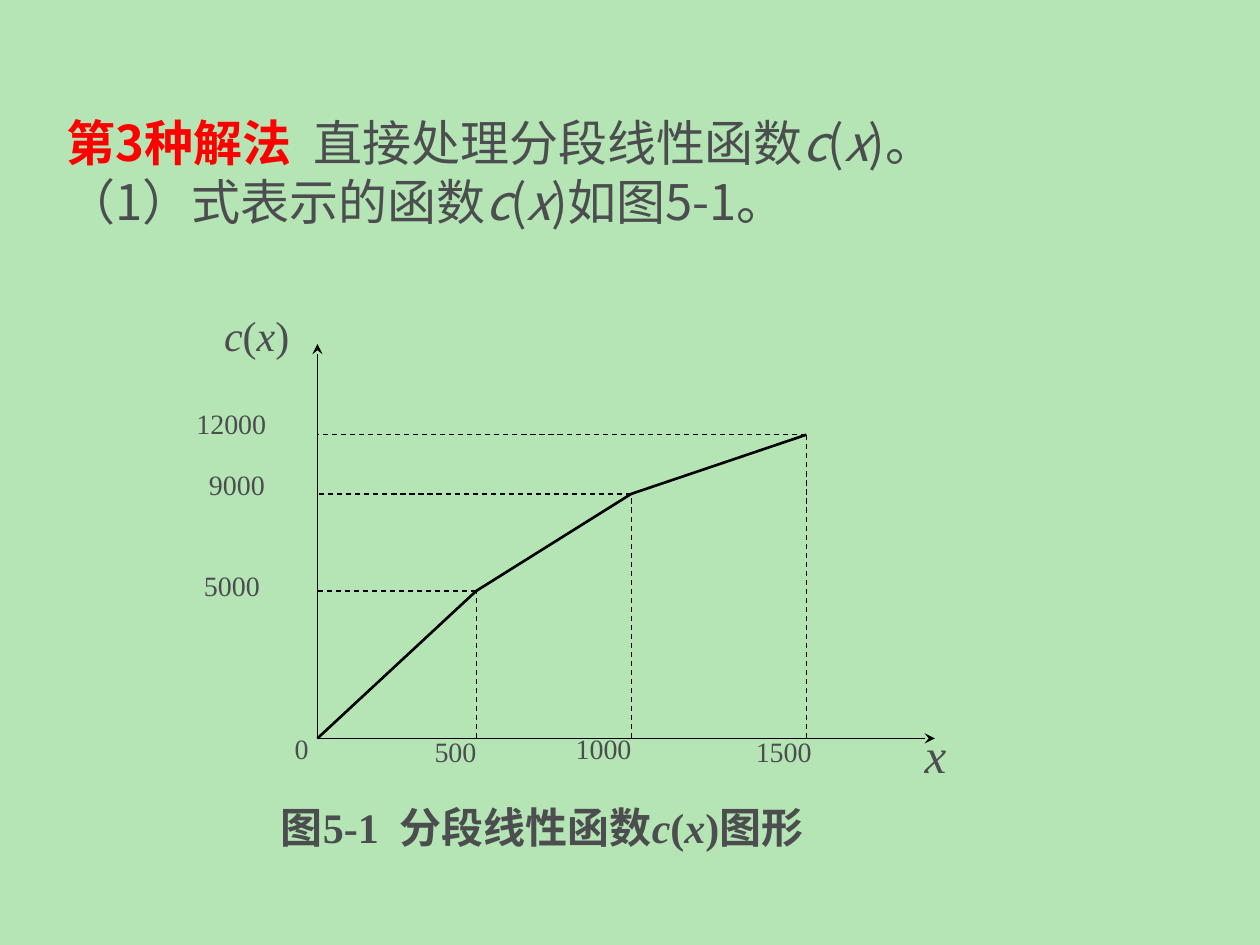
from itertools import pairwise
from lxml.etree import SubElement
from pptx import Presentation
from pptx.dml.color import RGBColor
from pptx.enum.dml import MSO_LINE
from pptx.enum.shapes import MSO_CONNECTOR
from pptx.enum.text import MSO_ANCHOR, MSO_AUTO_SIZE, PP_ALIGN
from pptx.oxml.ns import qn
from pptx.util import Inches, Pt

COLUMNS, ROWS = 100, 75
SANS, SERIF = "Noto Sans CJK SC", "Times New Roman"
BACKGROUND, INK, RED, BLACK = "B5E5B5", "4B4D4F", "FF0000", "000000"
FUNCTION = ["c", "(", "x"]
VARIABLES = {"c", "x"}

HEADING_BOX = (4.3, 8.4, 89.8, 10.4)
HEADING = [
    ["第3种解法  ", "直接处理分段线性函数", *FUNCTION, ")。"],
    ["（1）式表示的函数", *FUNCTION, ")如图5-1。"],
]
LABELS = [
    ([*FUNCTION, ")"], (16.8, 24.1, 13.2, 5.3), 24, False),
    (["x"], (72.4, 57, 6.8, 5.3), 28, False),
    (["图5-1  分段线性函数", *FUNCTION, ")图形"], (21.3, 63.1, 53.9, 5.8), 24, True),
]
TICKS = [
    ("12000", 14.6, 31.8), ("9000", 15.6, 36.6), ("5000", 15.2, 44.6),
    ("0", 22.4, 57.6), ("500", 33.5, 57.8), ("1000", 44.7, 57.6), ("1500", 59, 57.8),
]
TICK_SIZE = (12.5, 5.3)
ORIGIN = (25.2, 58.6)
AXIS_ENDS = [(25.2, 27.3), (74.2, 58.6)]
KNOTS = [(37.8, 46.9), (50.1, 39.2), (64, 34.5)]


def color(value):
    """Turn a hex string into a colour."""
    return RGBColor.from_string(value)


def place(column, row):
    """Turn a grid position into slide lengths."""
    return (round(presentation.slide_width * column / COLUMNS),
            round(presentation.slide_height * row / ROWS))


def write(paragraph, texts, size, font_name, bold=False):
    """Add runs to a paragraph, with variables in italics."""
    paragraph.alignment = PP_ALIGN.LEFT
    for text in texts:
        run = paragraph.add_run()
        run.text = text
        format_values = {"size": Pt(size), "name": font_name, "bold": bold,
                         "italic": text in VARIABLES}
        for name, value in format_values.items():
            setattr(run.font, name, value)
        run.font.color.rgb = color(INK)
        SubElement(run.font._element, qn("a:ea"), typeface=SANS)


def add_label(texts, box, size, bold=False):
    """Add a one-line text box."""
    left, top, width, height = box
    shape = slide.shapes.add_textbox(*place(left, top), *place(width, height))
    shape.text_frame.word_wrap = True
    write(shape.text_frame.paragraphs[0], texts, size, SERIF, bold)


def add_line(start, end, width=0.75, dashed=False, arrow=False):
    """Draw a straight black line between two grid positions."""
    connector = slide.shapes.add_connector(
        MSO_CONNECTOR.STRAIGHT, *place(*start), *place(*end))
    connector.line.color.rgb = color(BLACK)
    connector.line.width = Pt(width)
    if dashed:
        connector.line.dash_style = MSO_LINE.DASH
    if arrow:
        SubElement(connector.line._get_or_add_ln(), qn("a:tailEnd"), type="stealth")
    SubElement(connector._element.spPr, qn("a:effectLst"))


def add_heading():
    """Fill and format the title placeholder."""
    title = slide.shapes.title
    left, top, width, height = HEADING_BOX
    title.left, title.top = place(left, top)
    title.width, title.height = place(width, height)
    frame = title.text_frame
    format_values = {"word_wrap": True, "auto_size": MSO_AUTO_SIZE.NONE,
                     "vertical_anchor": MSO_ANCHOR.MIDDLE}
    for name, value in format_values.items():
        setattr(frame, name, value)
    frame.add_paragraph()
    for paragraph, texts in zip(frame.paragraphs, HEADING):
        write(paragraph, texts, 28, SANS)
    lead = frame.paragraphs[0].runs[0].font
    lead.bold = True
    lead.color.rgb = color(RED)


def add_graph():
    """Draw the axes, guide lines, curve and labels."""
    for end in AXIS_ENDS:
        add_line(ORIGIN, end, arrow=True)
    for column, row in KNOTS:
        add_line((column, ORIGIN[1]), (column, row), dashed=True)
        add_line((column, row), (ORIGIN[0], row), dashed=True)
    for start, end in pairwise([ORIGIN, *KNOTS]):
        add_line(start, end, width=1.5)
    for text, left, top in TICKS:
        add_label([text], (left, top, *TICK_SIZE), 16)
    for label in LABELS:
        add_label(*label)


presentation = Presentation()
presentation.slide_width, presentation.slide_height = Inches(10), Inches(7.5)
slide = presentation.slides.add_slide(presentation.slide_layouts[5])
slide.background.fill.solid()
slide.background.fill.fore_color.rgb = color(BACKGROUND)
add_heading()
add_graph()
presentation.save("out.pptx")
